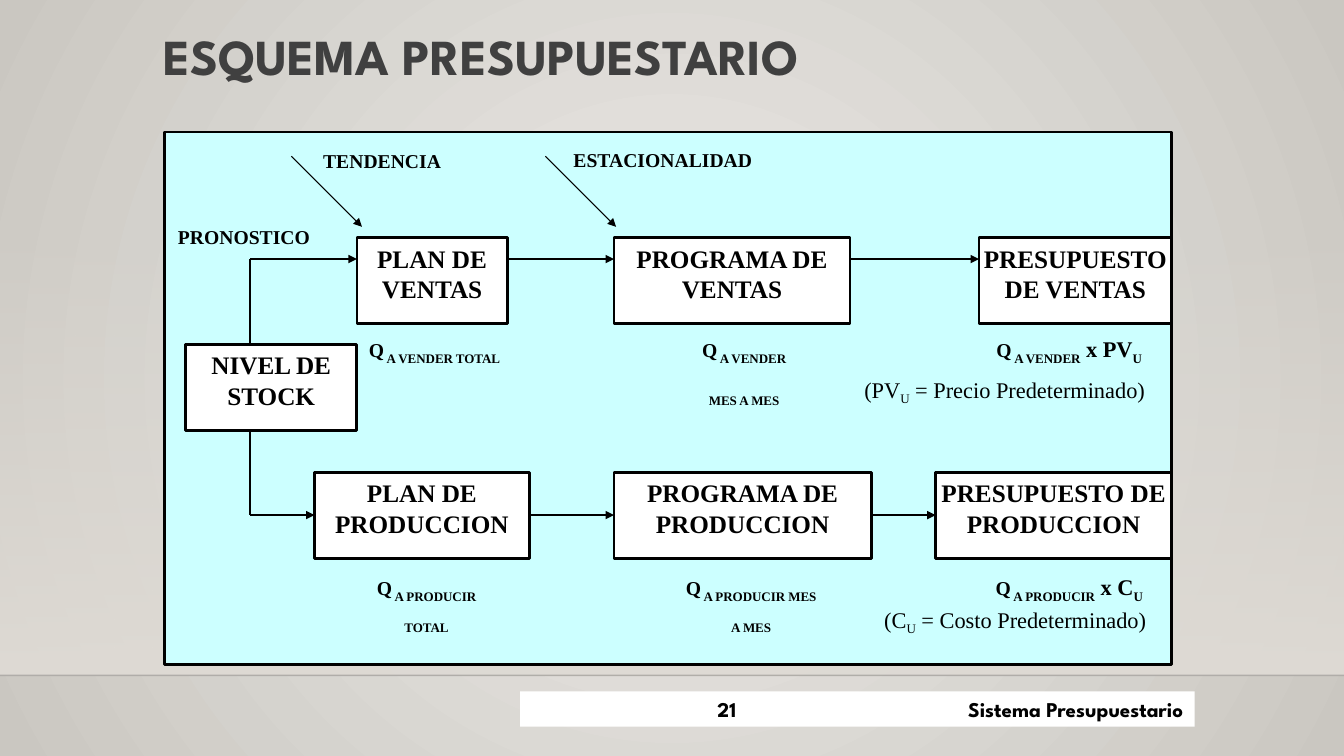
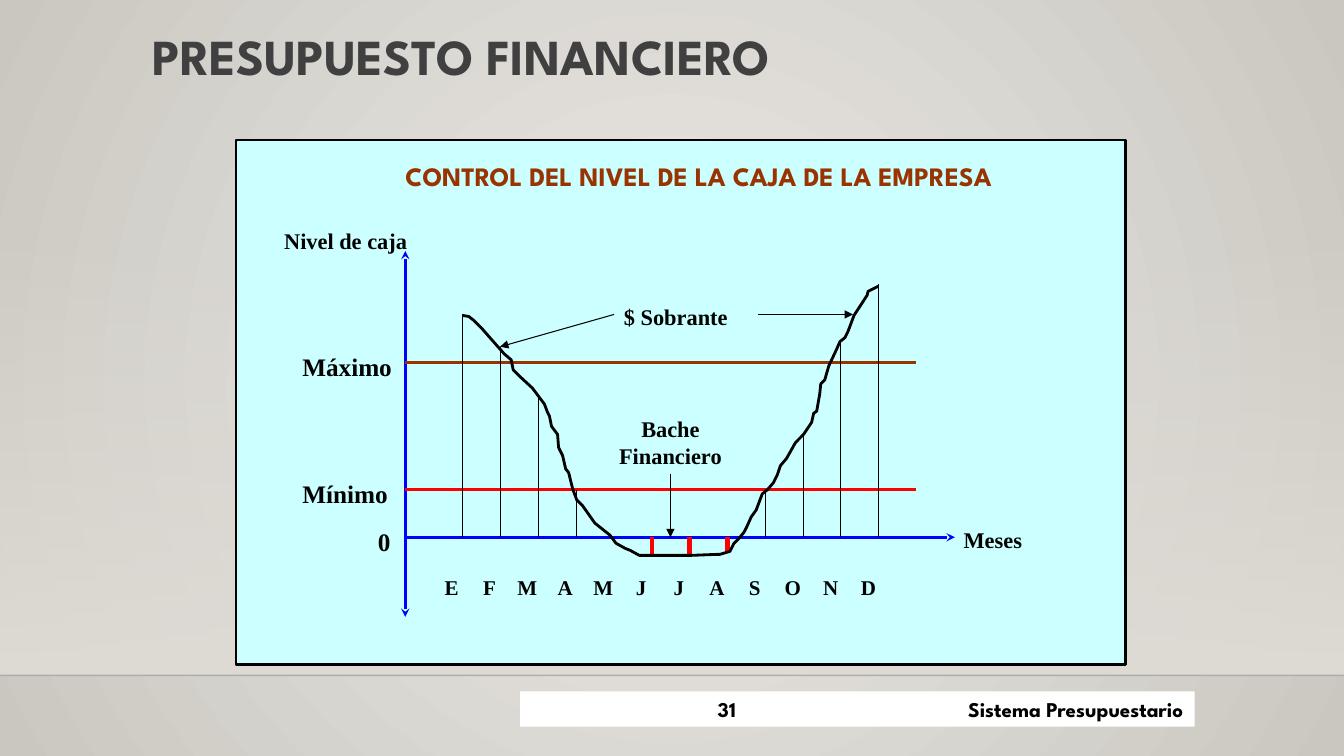
"""Build two budgeting slides: a planning flow and a cash level curve."""
from dataclasses import dataclass
from typing import NamedTuple, Optional

from lxml.etree import SubElement
from pptx import Presentation
from pptx.dml.color import RGBColor
from pptx.enum.shapes import MSO_CONNECTOR, MSO_SHAPE as Form
from pptx.enum.text import MSO_ANCHOR as Anchor, MSO_AUTO_SIZE as Fit, PP_ALIGN as Align
from pptx.oxml.ns import qn
from pptx.util import Inches, Pt


@dataclass(frozen=True)
class Theme:
    """Colours, fonts and type sizes of the deck."""
    ink: str = "000000"
    rule: str = "000001"
    paper: str = "FFFFFF"
    panel: str = "CCFFFF"
    title: str = "404040"
    axis: str = "0000FF"
    rust: str = "993300"
    red: str = "FF0000"
    band: str = "DFDBD5"
    glow: str = "ECEAE7"
    edge: str = "CAC7C1"
    sans: str = "League Spartan"
    serif: str = "Times New Roman"
    huge: float = 36
    head: float = 19
    large: float = 18
    mid: float = 16
    foot: float = 15
    small: float = 14
    thick: float = 2
    bar: float = 3.25
    thin: float = 0.75


T = Theme()


class Run(NamedTuple):
    """A stretch of text, perhaps lowered or resized."""
    text: str
    sub: bool = False
    size: Optional[float] = None


class Label(NamedTuple):
    """A text box; each line is a string or a tuple of runs."""
    x: float
    y: float
    w: float
    h: float
    lines: tuple
    size: float = T.mid
    align: Align = Align.CENTER
    bold: bool = True
    font: str = T.serif
    tint: str = T.ink


class Box(NamedTuple):
    """A step of the flow."""
    x: float
    y: float
    w: float
    lines: tuple


class Wire(NamedTuple):
    """A straight line with optional arrowheads."""
    x1: float
    y1: float
    x2: float
    y2: float
    tint: str = T.ink
    width: float = T.thick
    tail: str = ""
    head: str = ""


def rgb(tint: str) -> RGBColor:
    """Turn a hex string into a colour."""
    return RGBColor.from_string(tint)


def style(para, size: float, tint: str, font: str, bold: bool = True) -> None:
    """Set the font of a whole paragraph."""
    face = para.font
    face.size, face.name, face.bold = Pt(size), font, bold
    face.color.rgb = rgb(tint)


def write(frame, label: Label) -> None:
    """Fill a text frame with the lines of a label."""
    for i, line in enumerate(label.lines):
        para = frame.add_paragraph() if i else frame.paragraphs[0]
        para.alignment = label.align
        if i and not isinstance(line, str):
            para.space_before = Pt(label.size / 2)
        for part in (Run(line),) if isinstance(line, str) else line:
            run = para.add_run()
            run.text = part.text
            if part.size:
                run.font.size = Pt(part.size)
            if part.sub:
                run.font._element.set("baseline", "-25000")
        style(para, label.size, label.tint, label.font, label.bold)


def add_label(slide, label: Label) -> None:
    """Draw a wrapped text box."""
    frame = slide.shapes.add_textbox(*map(Inches, label[:4])).text_frame
    frame.word_wrap = True
    write(frame, label)


def add_block(slide, x: float, y: float, w: float, h: float, tint: str,
              edge: str = "", form: Form = Form.RECTANGLE):
    """Draw a flat filled shape, outlined when an edge is given."""
    block = slide.shapes.add_shape(form, *map(Inches, (x, y, w, h)))
    block.shadow.inherit = False
    block.fill.solid()
    block.fill.fore_color.rgb = rgb(tint)
    if edge:
        block.line.color.rgb = rgb(edge)
        block.line.width = Pt(T.thick)
    else:
        block.line.fill.background()
    return block


def add_box(slide, box: Box) -> None:
    """Draw a flow step with its caption."""
    block = add_block(slide, box.x, box.y, box.w, 0.85, T.paper, T.ink, Form.FLOWCHART_PROCESS)
    frame = block.text_frame
    frame.vertical_anchor = Anchor.TOP
    frame.word_wrap = len(box.lines) == 1
    write(frame, Label(*box[:3], 0.85, box.lines, T.large))


def add_wire(slide, wire: Wire):
    """Draw a line or arrow without shadow."""
    link = slide.shapes.add_connector(MSO_CONNECTOR.STRAIGHT, *map(Inches, wire[:4]))
    link.line.color.rgb = rgb(wire.tint)
    link.line.width = Pt(wire.width)
    props = link.element.spPr
    for tag, kind in (("a:headEnd", wire.head), ("a:tailEnd", wire.tail)):
        if kind:
            SubElement(props.find(qn("a:ln")), qn(tag)).set("type", kind)
    SubElement(props, qn("a:effectLst"))
    return link


def shade(host, stops: tuple, round_: bool) -> None:
    """Swap the first solid fill of an element for a gradient."""
    fill = host.xpath(".//a:solidFill")[0]
    grad = SubElement(fill.getparent(), qn("a:gradFill"))
    fill.getparent().replace(fill, grad)
    row = SubElement(grad, qn("a:gsLst"))
    for place, tint, alpha in stops:
        stop = SubElement(row, qn("a:gs"), pos=str(place * 1000))
        tone = SubElement(stop, qn("a:srgbClr"), val=tint)
        SubElement(tone, qn("a:alpha"), val=str(alpha * 1000))
    if round_:
        ring = SubElement(grad, qn("a:path"), {"path": "circle"})
        SubElement(ring, qn("a:fillToRect"), dict.fromkeys("ltrb", "50000"))
    else:
        SubElement(grad, qn("a:lin"), ang="5400000", scaled="0")


def dress(deck, slide) -> None:
    """Give the master its background, band and rule."""
    root = deck.slide_master
    root.background.fill.solid()
    root.background.fill.fore_color.rgb = rgb(T.glow)
    shade(root.element, ((0, T.glow, 100), (100, T.edge, 100)), True)
    band = add_block(slide, 0, 2.21, 13.33, 4.49, T.band).element
    shade(band, ((0, T.band, 0), (100, T.band, 100)), False)
    rule = add_wire(slide, Wire(0, 6.7, 13.33, 6.7, T.rule, 1)).element
    SubElement(rule.xpath(".//a:ln//a:srgbClr")[0], qn("a:alpha"), val="20000")
    for i, item in enumerate((band, rule)):
        item.xpath(".//p:cNvPr")[0].set("id", str(20 + i))
        root.element.cSld.spTree.insert(2 + i, item)


def set_tabs(para, stops: list) -> None:
    """Add tab stops given as (inches, kind)."""
    row = SubElement(para._p.get_or_add_pPr(), qn("a:tabLst"))
    for place, kind in stops:
        SubElement(row, qn("a:tab"), pos=str(Inches(place)), algn=kind)


def start(deck, slide, x: float, title: str, page: int) -> None:
    """Place the title and footer of a slide."""
    head = slide.shapes.title
    head.left, head.top, head.width, head.height = map(Inches, (x, 0.2, 8.93, 0.7))
    frame = head.text_frame
    frame.auto_size, frame.vertical_anchor = Fit.NONE, Anchor.TOP
    write(frame, Label(x, 0.2, 8.93, 0.7, (title,), T.huge, Align.LEFT, True, T.sans, T.title))
    foot = add_block(slide, 5.16, 6.86, 6.69, 0.35, T.paper).text_frame
    set_tabs(foot.paragraphs[0], [(1.95, "ctr"), (6.48, "r")])
    write(foot, Label(5.16, 6.86, 6.69, 0.35, (f"\t{page}\tSistema Presupuestario",),
                      T.foot, Align.LEFT, True, T.sans))


def q(sub: str, tail: str = "") -> tuple:
    """Make a quantity line with an optional priced factor."""
    line = (Run("Q", size=T.small), Run(sub, True))
    return line + (Run(tail), Run("U", True)) if tail else line


def note(sign: str, text: str) -> tuple:
    """Make a bracketed unit price note."""
    return (Run(f"({sign}"), Run("U", True), Run(f" = {text} Predeterminado)"))


def draw_flow(slide) -> None:
    """Draw the planning flow."""
    add_block(slide, 1.63, 1.31, 9.99, 5.28, T.panel, T.ink)
    top, low = 2.36, 4.69
    for box in (Box(3.54, top, 1.49, ("PLAN DE VENTAS",)),
                Box(6.09, top, 2.34, ("PROGRAMA DE VENTAS",)),
                Box(9.71, top, 1.91, ("PRESUPUESTO", "DE VENTAS")),
                Box(3.12, low, 2.13, ("PLAN DE PRODUCCION",)),
                Box(6.09, low, 2.55, ("PROGRAMA DE PRODUCCION",)),
                Box(9.28, low, 2.34, ("PRESUPUESTO DE", "PRODUCCION")),
                Box(1.84, 3.42, 1.7, ("NIVEL DE", "STOCK"))):
        add_box(slide, box)
    stem = 2.48
    rows = ((2.57, 3.42, ((stem, 3.54), (5.03, 6.09), (8.43, 9.71))),
            (5.11, 4.27, ((stem, 3.12), (5.25, 6.09), (8.64, 9.28))))
    for y, side, spans in rows:
        add_wire(slide, Wire(stem, side, stem, y))
        for x1, x2 in spans:
            add_wire(slide, Wire(x1, y, x2, y, tail="triangle"))
    for x in (2.89, 5.41):
        add_wire(slide, Wire(x, 1.55, x + 0.7, 2.25, width=T.thin, tail="triangle"))
    for label in (Label(1.63, 2.18, 1.58, 0.33, ("PRONOSTICO",), T.small),
                  Label(3, 1.43, 1.58, 0.33, ("TENDENCIA",), T.small),
                  Label(5.51, 1.42, 2.13, 0.33, ("ESTACIONALIDAD",), T.small),
                  Label(3.52, 3.28, 1.58, 0.52, (q(" A VENDER TOTAL"),)),
                  Label(6.59, 3.28, 1.58, 0.61, (q(" A VENDER"), (Run("MES A MES", True),))),
                  Label(9.66, 3.28, 1.89, 0.37, (q(" A VENDER", " x PV"),)),
                  Label(3.44, 5.64, 1.58, 0.52, (q(" A PRODUCIR TOTAL"),)),
                  Label(6.66, 5.64, 1.58, 0.52, (q(" A PRODUCIR MES A MES"),)),
                  Label(9.66, 5.64, 1.89, 0.37, (q(" A PRODUCIR", " x C"),)),
                  Label(8.59, 5.96, 2.96, 0.37, (note("C", "Costo"),), bold=False),
                  Label(8.38, 3.68, 3.17, 0.37, (note("PV", "Precio"),), bold=False)):
        add_label(slide, label)


CURVE = (
    (4.59, 3.13), (4.65, 3.14), (4.7, 3.18), (4.78, 3.26), (4.85, 3.34), (5, 3.51),
    (5.07, 3.57), (5.09, 3.67), (5.15, 3.73), (5.28, 3.85), (5.4, 4.01), (5.43, 4.09),
    (5.45, 4.13), (5.47, 4.23), (5.53, 4.31), (5.54, 4.44), (5.58, 4.52), (5.61, 4.65),
    (5.64, 4.69), (5.68, 4.85), (5.72, 4.96), (5.78, 5.02), (5.9, 5.19), (6, 5.27),
    (6.05, 5.31), (6.11, 5.39), (6.2, 5.44), (6.25, 5.46), (6.34, 5.51), (6.85, 5.51),
    (7.11, 5.5), (7.14, 5.5), (7.24, 5.47), (7.28, 5.39), (7.33, 5.34), (7.38, 5.28),
    (7.41, 5.22), (7.45, 5.13), (7.5, 5.06), (7.56, 4.9), (7.61, 4.86), (7.67, 4.79),
    (7.71, 4.71), (7.74, 4.62), (7.8, 4.55), (7.89, 4.39), (7.97, 4.31), (8.05, 4.19),
    (8.07, 4.1), (8.1, 4.08), (8.13, 3.91), (8.14, 3.81), (8.18, 3.77), (8.22, 3.63),
    (8.3, 3.46), (8.33, 3.39), (8.38, 3.35), (8.41, 3.29), (8.47, 3.13), (8.6, 2.93),
    (8.61, 2.89), (8.71, 2.84))


def draw_cash(slide) -> None:
    """Draw the yearly cash level curve."""
    add_block(slide, 2.34, 1.39, 8.82, 5.2, T.panel, T.ink)
    left, zero = 4.02, 5.33
    add_wire(slide, Wire(left, 2.49, left, 6.12, T.axis, tail="stealth", head="stealth"))
    add_wire(slide, Wire(left, zero, 9.47, zero, T.axis, tail="stealth"))
    for y, tint in ((3.6, T.rust), (4.86, T.red)):
        add_wire(slide, Wire(left, y, 9.09, y, tint))
    tips = (3.12, 3.44, 3.92, 4.86, None, 5.52, 5.5, 5.49, 4.86, 4.33, 3.39, 2.82)
    for i, tip in enumerate(tips):
        if tip:
            x = 4.59 + 0.375 * i
            tint, width = (T.red, T.bar) if tip > zero else (T.ink, T.thin)
            add_wire(slide, Wire(x, tip, x, zero, tint, width))
    dots = [(Inches(x), Inches(y)) for x, y in CURVE]
    pen = slide.shapes.build_freeform(*dots[0])
    pen.add_line_segments(dots[1:], close=False)
    curve = pen.convert_to_shape()
    curve.shadow.inherit = False
    curve.fill.background()
    curve.line.color.rgb, curve.line.width = rgb(T.ink), Pt(T.thick)
    months = slide.shapes.add_textbox(*map(Inches, (4.21, 5.65, 4.88, 0.32))).text_frame
    months.word_wrap = True
    set_tabs(months.paragraphs[0], [(0.17 + 0.376 * i, "ctr") for i in range(12)])
    write(months, Label(4.21, 5.65, 4.88, 0.32, ("\t" + "\t".join("EFMAMJJASOND"),),
                        T.foot, Align.LEFT))
    for x, y, w, text, size in ((2.72, 2.2, 1.88, "Nivel de caja", T.mid),
                                (2.9, 3.44, 1.31, "Máximo", T.large),
                                (2.9, 4.7, 1.31, "Mínimo", T.large),
                                (3.65, 5.17, 0.56, "0", T.large),
                                (6.09, 2.96, 1.5, "$ Sobrante", T.mid),
                                (9.46, 5.17, 1.13, "Meses", T.mid)):
        add_label(slide, Label(x, y, w, 0.47, (text,), size, Align.LEFT))
    add_label(slide, Label(5.9, 4.07, 1.5, 0.63, ("Bache Financiero",)))
    add_label(slide, Label(3.46, 1.54, 6.94, 0.47, ("CONTROL DEL NIVEL DE LA CAJA DE LA EMPRESA",),
                           T.head, font=T.sans, tint=T.rust))
    for ends in ((6.09, 3.12, 4.96, 3.44), (7.52, 3.12, 8.46, 3.12), (6.65, 4.7, 6.65, zero)):
        add_wire(slide, Wire(*ends, width=T.thin, tail="triangle"))


def main() -> None:
    """Build and save the deck."""
    deck = Presentation()
    deck.slide_width, deck.slide_height = Inches(13.33), Inches(7.5)
    pages = ((1.52, "ESQUEMA PRESUPUESTARIO", 21, draw_flow),
             (1.41, "PRESUPUESTO FINANCIERO", 31, draw_cash))
    for i, (x, title, page, draw) in enumerate(pages):
        slide = deck.slides.add_slide(deck.slide_layouts[5])
        if not i:
            dress(deck, slide)
        start(deck, slide, x, title, page)
        draw(slide)
    deck.save("out.pptx")


if __name__ == "__main__":
    main()
